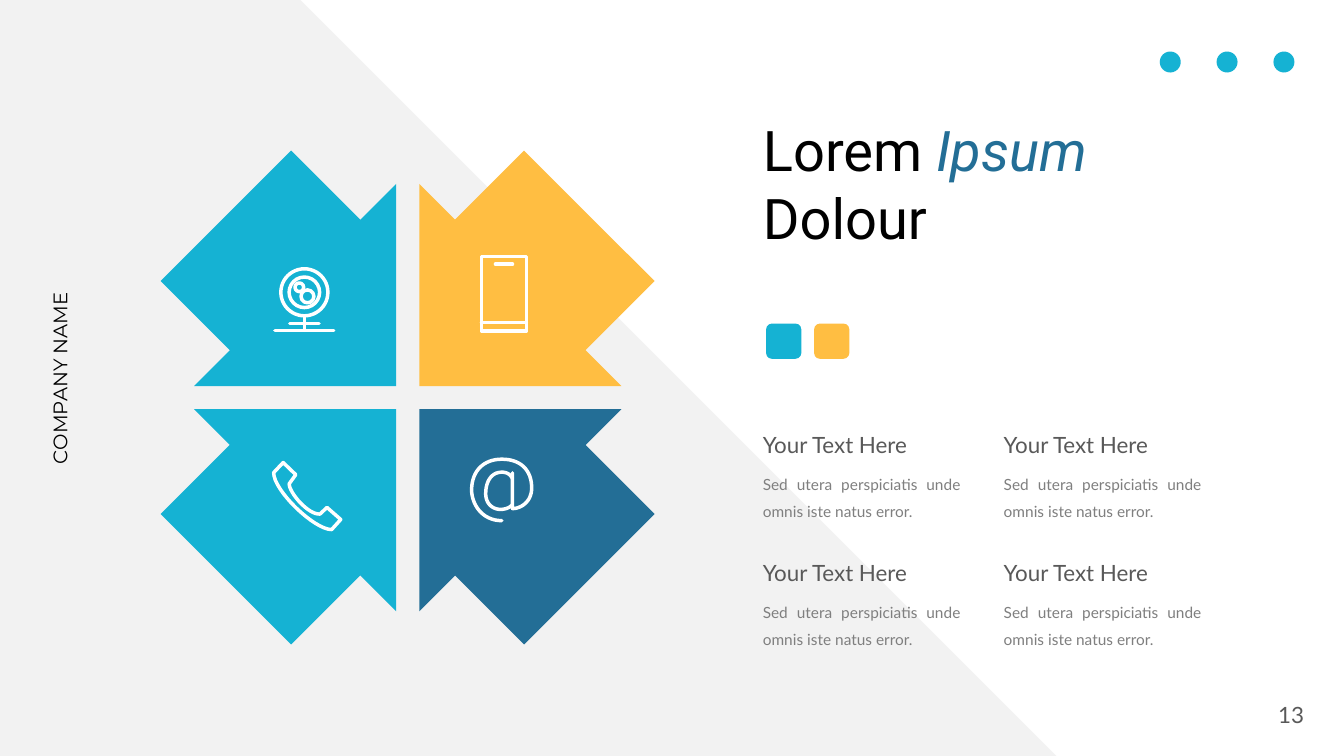
from pptx import Presentation
from pptx.dml.color import RGBColor
from pptx.enum.shapes import MSO_CONNECTOR, MSO_SHAPE
from pptx.enum.text import MSO_ANCHOR, MSO_AUTO_SIZE, PP_ALIGN
from pptx.oxml.ns import qn
from pptx.util import Pt
from lxml import etree

RECTANGLE, ROUNDED, OVAL = MSO_SHAPE.RECTANGLE, MSO_SHAPE.ROUNDED_RECTANGLE, MSO_SHAPE.OVAL
STRAIGHT = MSO_CONNECTOR.STRAIGHT
TOP, MIDDLE = MSO_ANCHOR.TOP, MSO_ANCHOR.MIDDLE
LEFT, CENTER, JUSTIFY = PP_ALIGN.LEFT, PP_ALIGN.CENTER, PP_ALIGN.JUSTIFY
NO_AUTOSIZE = MSO_AUTO_SIZE.NONE

CYAN = RGBColor(0x15, 0xB2, 0xD3)
AMBER = RGBColor(0xFF, 0xBE, 0x42)
BLUE = RGBColor(0x23, 0x6E, 0x96)
PALE = RGBColor(0xF2, 0xF2, 0xF2)
WHITE = RGBColor(0xFF, 0xFF, 0xFF)
BLACK = RGBColor(0, 0, 0)
DARK_GREY = RGBColor(0x59, 0x59, 0x59)
MID_GREY = RGBColor(0x7F, 0x7F, 0x7F)

TITLE_FONT = {"name": "Roboto", "size": Pt(40), "bold": False}
COMPANY_FONT = {"name": "Montserrat", "size": Pt(14)}
HEADING_FONT = {"name": "Lato", "size": Pt(16)}
BODY_FONT = {"name": "Lato", "size": Pt(11)}
STROKE = 2.5

# Two numbers draw a line to a point; six draw a cubic curve.
HANDSET = [(7.9, 1.4), (16.9, 10.1), (12.2, 16.6), (12.2, 23, 25.9, 38.9, 34.2, 38.2),
           (39.2, 33.5), (49, 42.1), (42.5, 49.3), (30.2, 49.3, 1.1, 21.6, 1.1, 8.6)]
AT_RING = [(23, 45), (8.6, 45, 1.4, 33, 1.4, 23), (1.4, 9.5, 10, 1.1, 23, 1.1),
           (36.5, 1.1, 44.3, 9, 44.3, 21.6), (44.3, 32, 36, 36.4, 30.6, 36.4), (30.6, 10.8)]
AT_BOWL = [(30.6, 15.1), (29.5, 12.5, 27, 10.4, 23, 10.4), (15, 10.4, 11.2, 18, 11.5, 26.6),
           (11.8, 33, 16.5, 37, 22, 37), (26, 37, 29, 35.5, 30.6, 33.5)]


def style(shape, fill=None, line=None):
    shape.shadow.inherit = False
    if fill is None:
        shape.fill.background()
    else:
        shape.fill.solid()
        shape.fill.fore_color.rgb = fill
    if line is None:
        shape.line.fill.background()
    else:
        draw_line(shape.line, line)


def draw_line(line, color):
    line.color.rgb = color
    line.width = Pt(STROKE)
    ln = line._get_or_add_ln()
    ln.set("cap", "rnd")
    etree.SubElement(ln, qn("a:round"))


def add_preset(shapes, kind, left, top, width, height, **colors):
    shape = shapes.add_shape(kind, Pt(left), Pt(top), Pt(width), Pt(height))
    style(shape, **colors)
    return shape


def add_outline(shapes, points, closed=True, **colors):
    corners = [(Pt(x), Pt(y)) for x, y in points]
    builder = shapes.build_freeform(*corners[0])
    builder.add_line_segments(corners[1:], close=closed)
    style(builder.convert_to_shape(), **colors)


def add_stroke(shapes, x1, y1, x2, y2):
    stroke = shapes.add_connector(STRAIGHT, Pt(x1), Pt(y1), Pt(x2), Pt(y2))
    draw_line(stroke.line, WHITE)
    etree.SubElement(stroke._element.spPr, qn("a:effectLst"))


def trace(segments, left, top, steps=16):
    """Turn lines and cubic curves into points offset by left and top."""
    points = [segments[0]]
    for segment in segments[1:]:
        if len(segment) == 2:
            points.append(segment)
            continue
        controls = [points[-1], segment[:2], segment[2:4], segment[4:]]
        for step in range(1, steps + 1):
            t = step / steps
            weights = ((1 - t) ** 3, 3 * t * (1 - t) ** 2, 3 * t * t * (1 - t), t ** 3)
            points.append(tuple(sum(w * c[axis] for w, c in zip(weights, controls))
                                for axis in (0, 1)))
    return [(left + x, top + y) for x, y in points]


def write(frame, runs, font, align=LEFT, anchor=TOP, spacing=None):
    frame_format = {"word_wrap": True, "auto_size": NO_AUTOSIZE, "vertical_anchor": anchor}
    for name, value in frame_format.items():
        setattr(frame, name, value)
    paragraph = frame.paragraphs[0]
    paragraph.alignment = align
    if spacing:
        paragraph.line_spacing = spacing
    for text, color, italic in runs:
        run = paragraph.add_run()
        run.text = text
        for name, value in {**font, "italic": italic}.items():
            setattr(run.font, name, value)
        run.font.color.rgb = color


def add_text(shapes, left, top, width, height, text, color, font, **layout):
    box = shapes.add_textbox(Pt(left), Pt(top), Pt(width), Pt(height))
    write(box.text_frame, [(text, color, False)], font, **layout)
    return box


def add_title(title, left, top, width, height):
    box = {"left": left, "top": top, "width": width, "height": height}
    for name, value in box.items():
        setattr(title, name, Pt(value))
    write(title.text_frame, [("Lorem ", BLACK, False), ("Ipsum", BLUE, True),
                             (" Dolour", BLACK, False)], TITLE_FONT)


def add_petal(shapes, center_x, center_y, side_x, side_y, color):
    """Draw a tilted bar and a corner triangle, mirrored by the side signs."""
    petal = shapes.add_group_shape().shapes
    bar = [(30.8, 124), (124, 30.8), (176.4, 83.2), (83.2, 176.4)]
    corner = [(8.3, 8.3), (8.3, 152.6), (152.6, 8.3)]
    for part in (bar, corner):
        add_outline(petal, [(center_x + side_x * x, center_y + side_y * y) for x, y in part],
                    fill=color)


def add_webcam(shapes, left, top):
    icon = shapes.add_group_shape().shapes
    for x, y, radius in ((22.3, 18, 16.8), (22.3, 18, 10.9), (18.7, 14.4, 3.1), (24.5, 20.9, 4.6)):
        add_preset(icon, OVAL, left + x - radius, top + y - radius, 2 * radius, 2 * radius,
                   line=WHITE)
    for x1, y1, x2, y2 in ((22.3, 34.8, 22.3, 45.1), (11.9, 40.3, 32.8, 40.3),
                           (1.3, 45.1, 43.3, 45.1)):
        add_stroke(icon, left + x1, top + y1, left + x2, top + y2)


def add_mobile(shapes, left, top):
    icon = shapes.add_group_shape().shapes
    add_preset(icon, RECTANGLE, left + 1.2, top + 1.2, 32.2, 53, line=WHITE)
    for start, end, y in ((11.2, 23.4, 6.5), (1.2, 33.4, 48.2)):
        add_stroke(icon, left + start, top + y, left + end, top + y)


def add_handset(shapes, left, top):
    add_outline(shapes, trace(HANDSET, left, top), line=WHITE)


def add_at_sign(shapes, left, top):
    icon = shapes.add_group_shape().shapes
    for part in (AT_RING, AT_BOWL):
        add_outline(icon, trace(part, left, top), closed=False, line=WHITE)


def add_flower(shapes, center_x, center_y):
    for side_x, side_y, color in ((-1, 1, CYAN), (1, -1, AMBER), (-1, -1, CYAN), (1, 1, BLUE)):
        add_petal(shapes, center_x, center_y, side_x, side_y, color)
    add_webcam(shapes, center_x - 96.1, center_y - 93.2)
    add_mobile(shapes, center_x + 51.5, center_y - 101.8)
    add_handset(shapes, center_x - 96.8, center_y + 45)
    add_at_sign(shapes, center_x + 44.3, center_y + 42.9)


def add_text_block(shapes, left, top, width):
    add_text(shapes, left, top, width, 26.6, "Your Text Here", DARK_GREY, HEADING_FONT)
    add_text(shapes, left, top + 24.5, width, 44.6,
             "Sed utera perspiciatis unde omnis iste natus error.",
             MID_GREY, BODY_FONT, align=JUSTIFY, spacing=1.5)


def add_details(shapes, left, top):
    for index, color in enumerate((CYAN, AMBER)):
        add_preset(shapes, ROUNDED, left + 9.4 + 34.3 * index, top, 25.2, 25.2, fill=color)
    for row in range(2):
        for column in range(2):
            add_text_block(shapes, left + 172.1 * column, top + 73.4 + 91.4 * row, 155.5)


def add_social_marks(shapes, left, top, size):
    for index in range(3):
        add_preset(shapes, OVAL, left + 40.6 * index, top, size, size, fill=CYAN)


def build_slide(slide):
    shapes = slide.shapes
    add_outline(shapes, [(0, 0), (214.6, 0), (754.6, 540), (0, 540)], fill=PALE)
    add_text(shapes, 814.3, 496.1, 216, 28.8, "13", DARK_GREY, HEADING_FONT,
             align=CENTER, anchor=MIDDLE)
    add_flower(shapes, 291.2, 284)
    company = add_text(shapes, -68.4, 257.8, 222.5, 24.5, "COMPANY NAME", BLACK,
                       COMPANY_FONT, align=CENTER)
    company.rotation = 270
    add_title(shapes.title, 537.8, 79.2, 323.3, 104.4)
    add_details(shapes, 537.8, 231.1)
    add_social_marks(shapes, 828.4, 36.8, 15)


def main():
    presentation = Presentation()
    presentation.slide_width, presentation.slide_height = Pt(960), Pt(540)
    build_slide(presentation.slides.add_slide(presentation.slide_layouts[5]))
    presentation.save("out.pptx")


if __name__ == "__main__":
    main()
